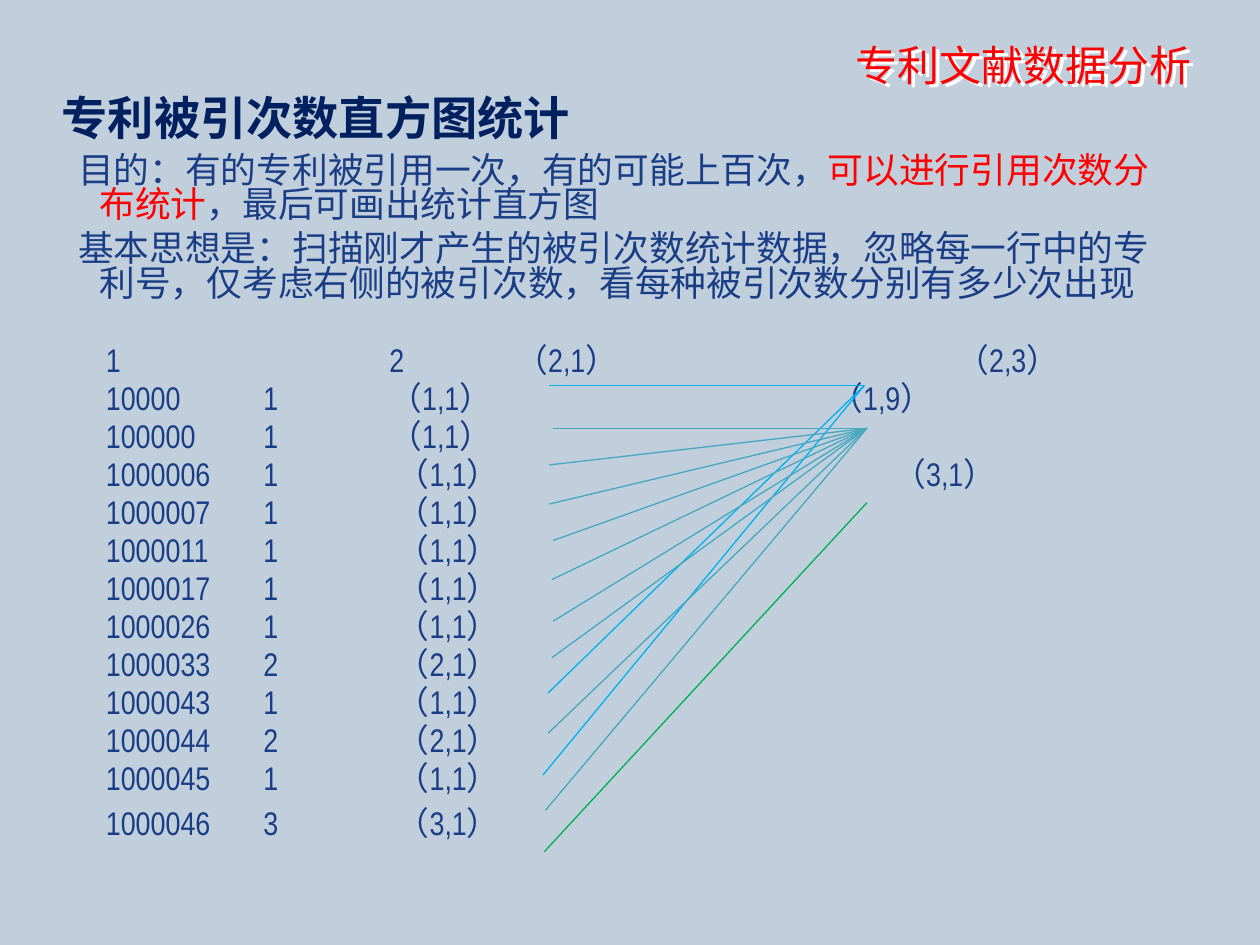
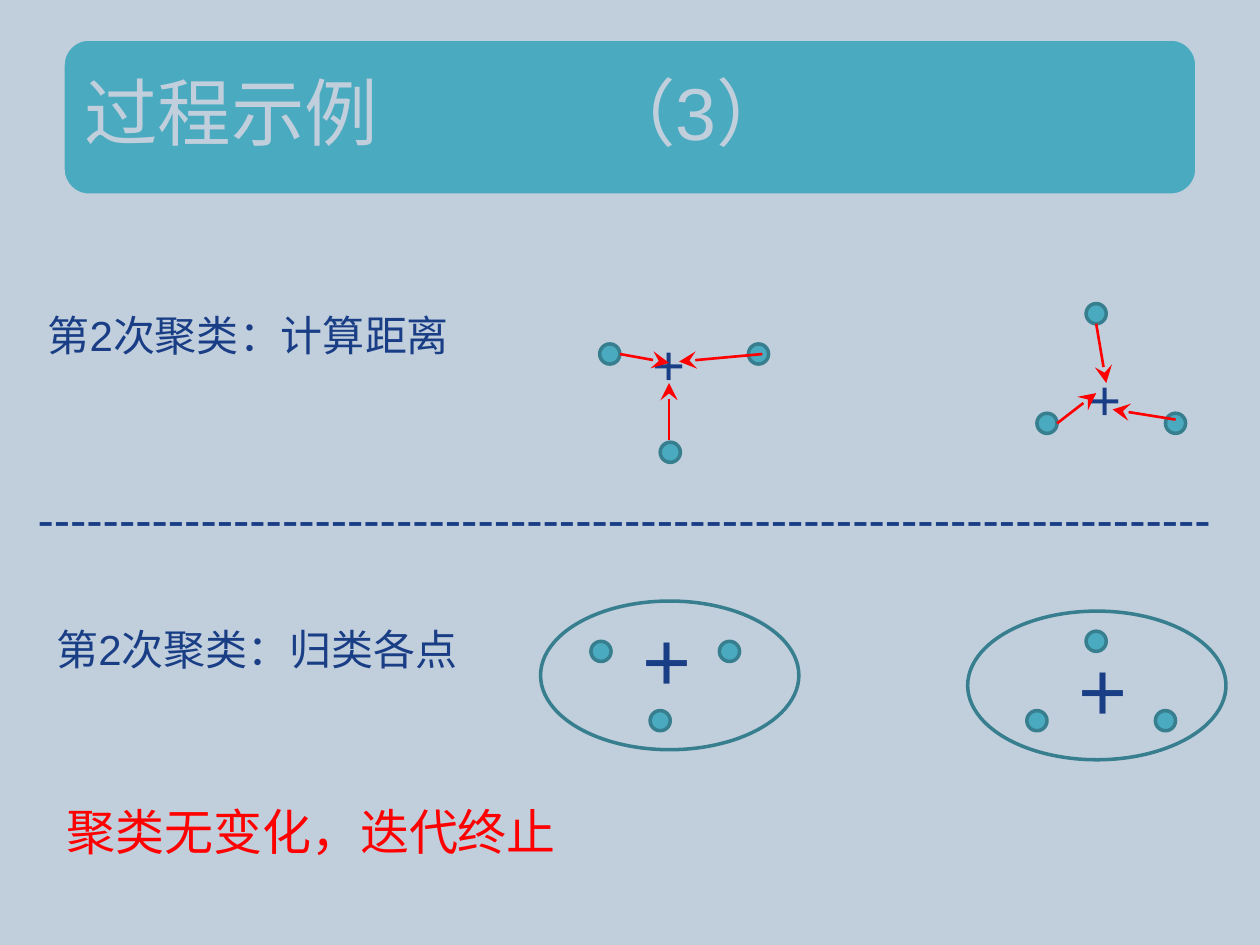
import pptx
import pptx.dml.color
import pptx.enum.shapes
import pptx.enum.text
import pptx.oxml.ns
import pptx.util
from lxml import etree

Inches = pptx.util.Inches
Pt = pptx.util.Pt
Shapes = pptx.enum.shapes.MSO_SHAPE
Anchor = pptx.enum.text.MSO_ANCHOR
Align = pptx.enum.text.PP_ALIGN
qn = pptx.oxml.ns.qn

BACKGROUND, NAVY, RED = "C1CFDD", "1A3E86", "FF0000"
HEADING_NAVY, TEAL, DARK_TEAL = "002060", "4AAAC0", "377E8E"
CJK_FONT = "Noto Sans CJK SC"
DOT_SIZE = 0.16

CITATION_ROWS = (
    "1" + "\t" * 5 + "2\t\t（2,1）" + "\t" * 6 + "（2,3）",
    "10000\t\t1\t\t（1,1）" + "\t" * 6 + "（1,9）",
    "100000\t\t1\t\t（1,1）",
    "1000006\t1\t\t （1,1）" + "\t" * 7 + "（3,1）",
    *(f"{patent}\t{count}\t\t （{count},1）" for patent, count in (
        (1000007, 1), (1000011, 1), (1000017, 1), (1000026, 1), (1000033, 2),
        (1000043, 1), (1000044, 2), (1000045, 1), (1000046, 3))),
)
COUNT_FANS = (
    ("00B0F0", (6.86, 3.06), ((4.36, 3.06), (4.35, 5.5), (4.31, 6.15))),
    ("45A8BF", (6.88, 3.4), ((4.39, 3.4), (4.35, 5.82), (4.36, 3.69), (4.36, 4),
                             (4.39, 4.29), (4.38, 4.6), (4.39, 4.93),
                             (4.38, 5.22), (4.33, 6.43))),
    ("00B050", (6.88, 3.99), ((4.32, 6.76),)),
)


def rgb(value):
    """Turn a hex string into a colour."""
    return pptx.dml.color.RGBColor.from_string(value)


def style_font(font, size, color, name="Arial", bold=False):
    """Set size, colour, weight and typefaces of a font."""
    font.size = Pt(size)
    font.bold = bold
    font.color.rgb = rgb(color)
    font.name = name
    etree.SubElement(font._rPr, qn("a:ea"), typeface=CJK_FONT)


def set_layout(paragraph, margin=0.0, indent=0.0, tab_size=1.0):
    """Give a paragraph its indents and tab distance, without a bullet."""
    properties = paragraph._p.get_or_add_pPr()
    for name, value in (("marL", margin), ("indent", indent), ("defTabSz", tab_size)):
        properties.set(name, str(Inches(value)))
    etree.SubElement(properties, qn("a:buNone"))


def place(shape, left, top, width, height):
    """Move and size a shape in inches."""
    shape.left, shape.top = Inches(left), Inches(top)
    shape.width, shape.height = Inches(width), Inches(height)


def prepare_frame(shape, anchor, insets=(0.1, 0.05, 0.1, 0.05)):
    """Set wrapping, anchor and insets, and return the text frame."""
    frame = shape.text_frame
    frame.word_wrap = True
    frame.auto_size = pptx.enum.text.MSO_AUTO_SIZE.NONE
    frame.vertical_anchor = anchor
    (frame.margin_left, frame.margin_top,
     frame.margin_right, frame.margin_bottom) = map(Inches, insets)
    return frame


def add_label(slide, box, text, size, color=NAVY):
    """Add a text box with one styled paragraph."""
    shape = slide.shapes.add_textbox(*map(Inches, box))
    paragraph = prepare_frame(shape, Anchor.TOP).paragraphs[0]
    paragraph.text = text
    style_font(paragraph.font, size, color)


def add_preset(slide, kind, box, line, fill=None):
    """Add a flat preset shape."""
    shape = slide.shapes.add_shape(kind, *map(Inches, box))
    shape.shadow.inherit = False
    if fill:
        shape.fill.solid()
        shape.fill.fore_color.rgb = rgb(fill)
    else:
        shape.fill.background()
    shape.line.color.rgb = rgb(line)
    shape.line.width = Pt(2)


def add_line(slide, start, end, color, width, arrow=False):
    """Add a straight line, with an arrowhead at its end on request."""
    connector = slide.shapes.add_connector(
        pptx.enum.shapes.MSO_CONNECTOR.STRAIGHT, *map(Inches, (*start, *end)))
    connector.line.color.rgb = rgb(color)
    connector.line.width = Pt(width)
    if arrow:
        etree.SubElement(connector.line._get_or_add_ln(), qn("a:tailEnd"),
                         type="stealth", w="lg", len="lg")
    etree.SubElement(connector._element.spPr, qn("a:effectLst"))


def add_running_title(slide, box, text):
    """Fill the right-aligned red title with its white shadow."""
    title = slide.shapes.title
    place(title, *box)
    paragraph = prepare_frame(title, Anchor.BOTTOM, (0.1, 0.05, 0.1, 0.1)).paragraphs[0]
    paragraph.text = text
    paragraph.alignment = Align.RIGHT
    style_font(paragraph.font, 24, RED, CJK_FONT)
    effects = etree.SubElement(title._element.spPr, qn("a:effectLst"))
    shadow = etree.SubElement(effects, qn("a:outerShdw"), dist="38100", dir="2700000")
    etree.SubElement(shadow, qn("a:srgbClr"), val="FFFFFF")


def add_citation_body(slide, box):
    """Fill the body with heading, explanation and citation rows."""
    body = slide.placeholders[1]
    place(body, *box)
    frame = prepare_frame(body, Anchor.TOP)

    heading = frame.paragraphs[0]
    heading.text = "专利被引次数直方图统计"
    set_layout(heading, 0.3, -0.3)
    heading.line_spacing = 0.9
    heading.space_before = Pt(0)
    style_font(heading.font, 26.4, HEADING_NAVY, "Arial Narrow", True)

    explanations = (
        (("目的：有的专利被引用一次，有的可能上百次，", NAVY),
         ("可以进行引用次数分布统计", RED), ("，最后可画出统计直方图", NAVY)),
        (("基本思想是：扫描刚才产生的被引次数统计数据，忽略每一行中的专利号，"
          "仅考虑右侧的被引次数，看每种被引次数分别有多少次出现", NAVY),),
    )
    for parts in explanations:
        paragraph = frame.add_paragraph()
        set_layout(paragraph, 0.3, -0.17)
        paragraph.line_spacing = 0.8
        paragraph.space_before = Pt(5.8)
        for text, color in parts:
            run = paragraph.add_run()
            run.text = text
            style_font(run.font, 20.4, color, "Arial Narrow")

    gaps = {0: 25.5, len(CITATION_ROWS) - 1: 7.8}
    for index, row in enumerate(CITATION_ROWS):
        paragraph = frame.add_paragraph()
        paragraph.text = row
        set_layout(paragraph, 0.6, -0.25, 0.5)
        paragraph.line_spacing = 0.8
        paragraph.space_before = Pt(gaps.get(index, 3.7))
        style_font(paragraph.font, 18.7, NAVY, "Arial Narrow")


def add_title_band(slide, box, text):
    """Draw the rounded band and lay the title over it."""
    add_preset(slide, Shapes.ROUNDED_RECTANGLE, box, BACKGROUND, TEAL)
    title = slide.shapes.title
    slide.shapes._spTree.append(title._element)
    place(title, *box)
    paragraph = prepare_frame(title, Anchor.MIDDLE, (0.17,) * 4).paragraphs[0]
    paragraph.text = text
    set_layout(paragraph, tab_size=4.11)
    paragraph.alignment = Align.LEFT
    paragraph.line_spacing = 0.9
    style_font(paragraph.font, 42, BACKGROUND)


def add_cluster(slide, left, top, dots, center, arrows=(), outlined=False):
    """Draw points around a plus, with distance arrows or an outline."""
    for x, y in dots:
        add_preset(slide, Shapes.OVAL, (left + x, top + y, DOT_SIZE, DOT_SIZE),
                   DARK_TEAL, TEAL)
    if outlined:
        add_preset(slide, Shapes.OVAL, (left, top, 2.05, 1.18), DARK_TEAL)
    width, height, size = (0.63, 0.91, 48) if outlined else (0.45, 0.64, 32)
    add_label(slide, (left + center[0], top + center[1], width, height), "+", size)
    for x1, y1, x2, y2 in arrows:
        add_line(slide, (left + x1, top + y1), (left + x2, top + y2), RED, 1.5, True)


def build_histogram_slide(presentation):
    """Build the citation count slide."""
    slide = presentation.slides.add_slide(presentation.slide_layouts[1])
    add_citation_body(slide, (0.39, 0.71, 9.08, 6.59))
    add_running_title(slide, (0.7, 0.28, 8.86, 0.53), "专利文献数据分析")
    for color, tip, starts in COUNT_FANS:
        for start in starts:
            add_line(slide, start, tip, color, 0.75)


def build_clustering_slide(presentation):
    """Build the second clustering round slide."""
    slide = presentation.slides.add_slide(presentation.slide_layouts[5])
    add_title_band(slide, (0.5, 0.31, 9, 1.24), "过程示例\t（3）")
    add_label(slide, (0.28, 2.41, 3.86, 0.5), "第2次聚类：计算距离", 24)
    add_label(slide, (0.2, 3.83, 9.55, 0.57), "-" * 72, 28)
    add_label(slide, (0.35, 4.9, 3.46, 0.5), "第2次聚类：归类各点", 24)
    add_cluster(slide, 4.29, 4.77, ((0.4, 0.32), (1.42, 0.32), (0.87, 0.87)),
                (0.71, 0), outlined=True)
    add_cluster(slide, 7.68, 4.85, ((0.47, 0.79), (1.49, 0.79), (0.94, 0.16)),
                (0.78, 0.16), outlined=True)
    add_cluster(slide, 4.76, 2.57, ((0, 0.16), (1.18, 0.16), (0.48, 0.94)), (0.32, 0),
                ((0.16, 0.24, 0.55, 0.31), (0.55, 0.92, 0.55, 0.47),
                 (1.29, 0.24, 0.63, 0.3)))
    add_cluster(slide, 8.23, 2.41, ((0, 0.87), (1.02, 0.87), (0.39, 0)), (0.31, 0.43),
                ((0.16, 0.95, 0.47, 0.71), (0.47, 0.16, 0.55, 0.63),
                 (1.1, 0.92, 0.6, 0.84)))
    add_label(slide, (0.43, 6.31, 4.88, 0.57), "聚类无变化，迭代终止", 28, RED)


def main():
    """Build and save the presentation."""
    presentation = pptx.Presentation()
    presentation.slide_width, presentation.slide_height = Inches(10), Inches(7.5)
    fill = presentation.slide_master.background.fill
    fill.solid()
    fill.fore_color.rgb = rgb(BACKGROUND)
    build_histogram_slide(presentation)
    build_clustering_slide(presentation)
    presentation.save("out.pptx")


if __name__ == "__main__":
    main()
